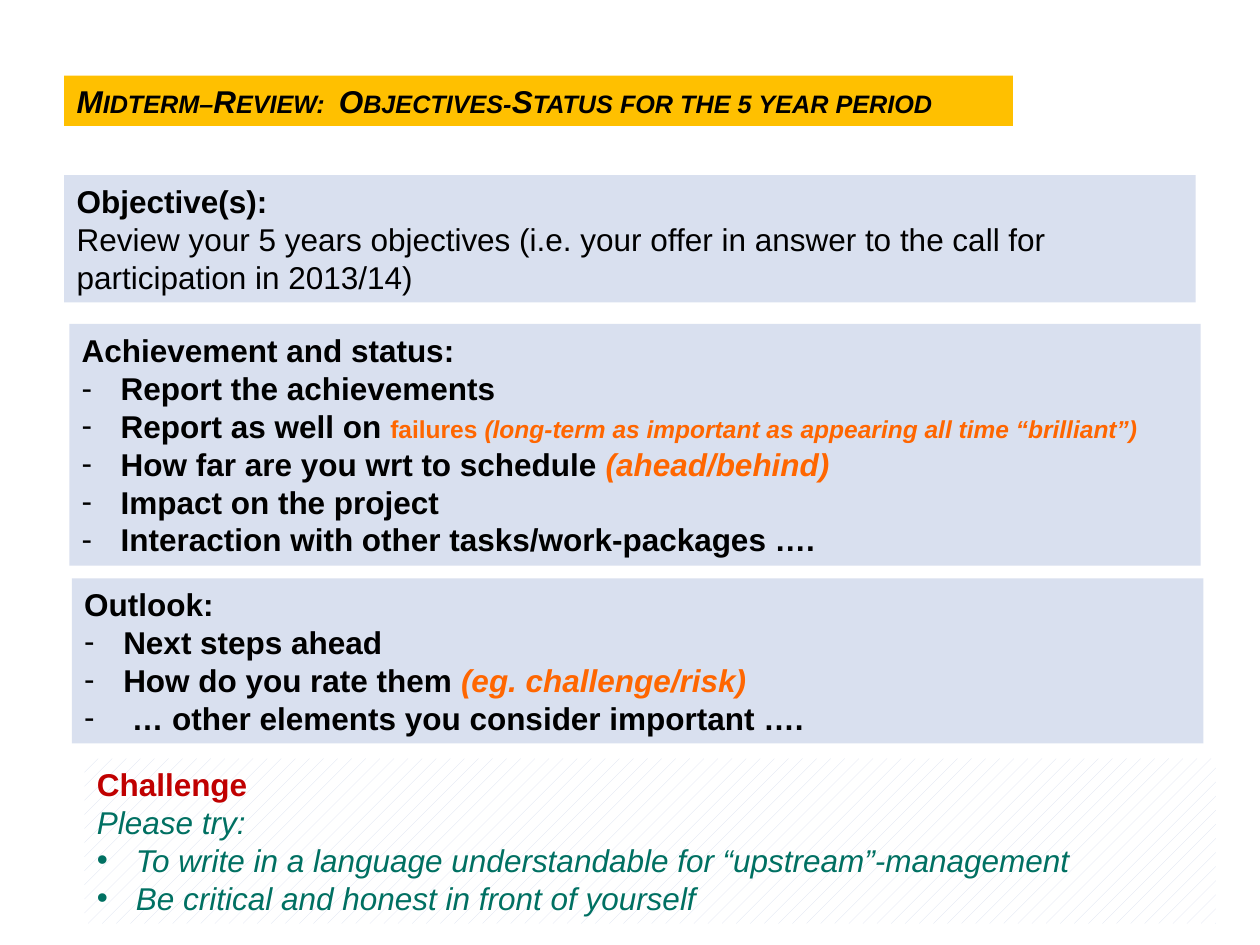
import lxml.etree
import pptx
import pptx.dml.color
import pptx.enum.dml
import pptx.enum.shapes
import pptx.oxml.ns
import pptx.util

EMU_PER_PX = 9144
SLIDE_WIDTH, SLIDE_HEIGHT = 1000, 750
PANEL_WIDTH = 898
BULLET_INDENT = 31
FONT_NAME = "Arial"
BLACK, ORANGE, RED, GREEN = "000000", "FF6600", "C00000", "007062"
AMBER, PALE_BLUE, WHITE = "FFC000", "D9E0EF", "FFFFFF"


def px(length):
    return pptx.util.Emu(length * EMU_PER_PX)


def color(hex_string):
    return pptx.dml.color.RGBColor.from_string(hex_string)


def styled(text, ink=BLACK, size=18, bold=True, italic=False):
    return text, ink, size, bold, italic


def add_box(slide, box, fill):
    shape = slide.shapes.add_shape(
        pptx.enum.shapes.MSO_SHAPE.RECTANGLE, *[px(length) for length in box])
    shape.shadow.inherit = False
    shape.line.fill.background()
    shape.fill.solid()
    shape.fill.fore_color.rgb = color(fill)
    shape.text_frame.word_wrap = True
    return shape


def write_runs(paragraph, runs):
    paragraph.alignment = pptx.enum.text.PP_ALIGN.LEFT
    for text, ink, size, bold, italic in runs:
        run = paragraph.add_run()
        run.text = text
        run.font.name = FONT_NAME
        run.font.size = pptx.util.Pt(size)
        run.font.bold = bold
        run.font.italic = italic
        run.font.color.rgb = color(ink)


def set_bullet(paragraph, character):
    properties = paragraph._p.get_or_add_pPr()
    properties.set("marL", str(px(BULLET_INDENT)))
    properties.set("indent", str(-px(BULLET_INDENT)))
    font = lxml.etree.SubElement(properties, pptx.oxml.ns.qn("a:buFont"))
    font.set("typeface", FONT_NAME)
    bullet = lxml.etree.SubElement(properties, pptx.oxml.ns.qn("a:buChar"))
    bullet.set("char", character)


def add_title(slide, box, text):
    shape = add_box(slide, box, AMBER)
    paragraph = shape.text_frame.paragraphs[0]
    write_runs(paragraph, [styled(text, italic=True)])
    paragraph.runs[0].font._element.set("cap", "small")


def add_panel(slide, box, introduction, items=(), bullet="-"):
    shape = add_box(slide, box, PALE_BLUE)
    text_frame = shape.text_frame
    for index, runs in enumerate([*introduction, *items]):
        paragraph = text_frame.add_paragraph() if index else text_frame.paragraphs[0]
        write_runs(paragraph, runs)
        if index >= len(introduction):
            set_bullet(paragraph, bullet)
    return shape


def add_challenge(slide, box):
    shape = add_panel(
        slide, box,
        [[styled("Challenge", RED)],
         [styled("Please try:", GREEN, bold=False, italic=True)]],
        [[styled(text, GREEN, bold=False, italic=True)] for text in (
            "To write in a language understandable for “upstream”-management",
            "Be critical and honest in front of yourself")],
        "•")
    shape.fill.patterned()
    shape.fill.pattern = pptx.enum.dml.MSO_PATTERN.PERCENT_10
    shape.fill.fore_color.rgb = color(PALE_BLUE)
    shape.fill.back_color.rgb = color(WHITE)


def build_review_slide(slide):
    add_panel(slide, (51, 139, PANEL_WIDTH, 101), [
        [styled("Objective(s):")],
        [styled("Review your 5 years objectives (i.e. your offer in answer to "
                "the call for participation in 2013/14)", bold=False)]])
    add_title(slide, (51, 60, 753, 40),
              "Midterm–Review:  Objectives-Status for the 5 year period")
    add_panel(slide, (55, 257, PANEL_WIDTH, 192), [[styled("Achievement and status:")]], [
        [styled("Report the achievements")],
        [styled("Report as well on "),
         styled("failures ", ORANGE, 14),
         styled("(long-term as important as appearing all time “brilliant”)",
                ORANGE, 14, italic=True)],
        [styled("How far are you wrt to schedule "),
         styled("(ahead/behind)", ORANGE, italic=True)],
        [styled("Impact on the project")],
        [styled("Interaction with other tasks/work-packages ….")]])
    add_panel(slide, (57, 459, PANEL_WIDTH, 131), [[styled("Outlook:")]], [
        [styled("Next steps ahead")],
        [styled("How do you rate them "),
         styled("(eg. challenge/risk)", ORANGE, italic=True)],
        [styled(" … other elements you consider important ….")]])
    add_challenge(slide, (67, 602, PANEL_WIDTH, 131))


def main():
    presentation = pptx.Presentation()
    presentation.slide_width = px(SLIDE_WIDTH)
    presentation.slide_height = px(SLIDE_HEIGHT)
    build_review_slide(presentation.slides.add_slide(presentation.slide_layouts[6]))
    presentation.save("out.pptx")


if __name__ == "__main__":
    main()
